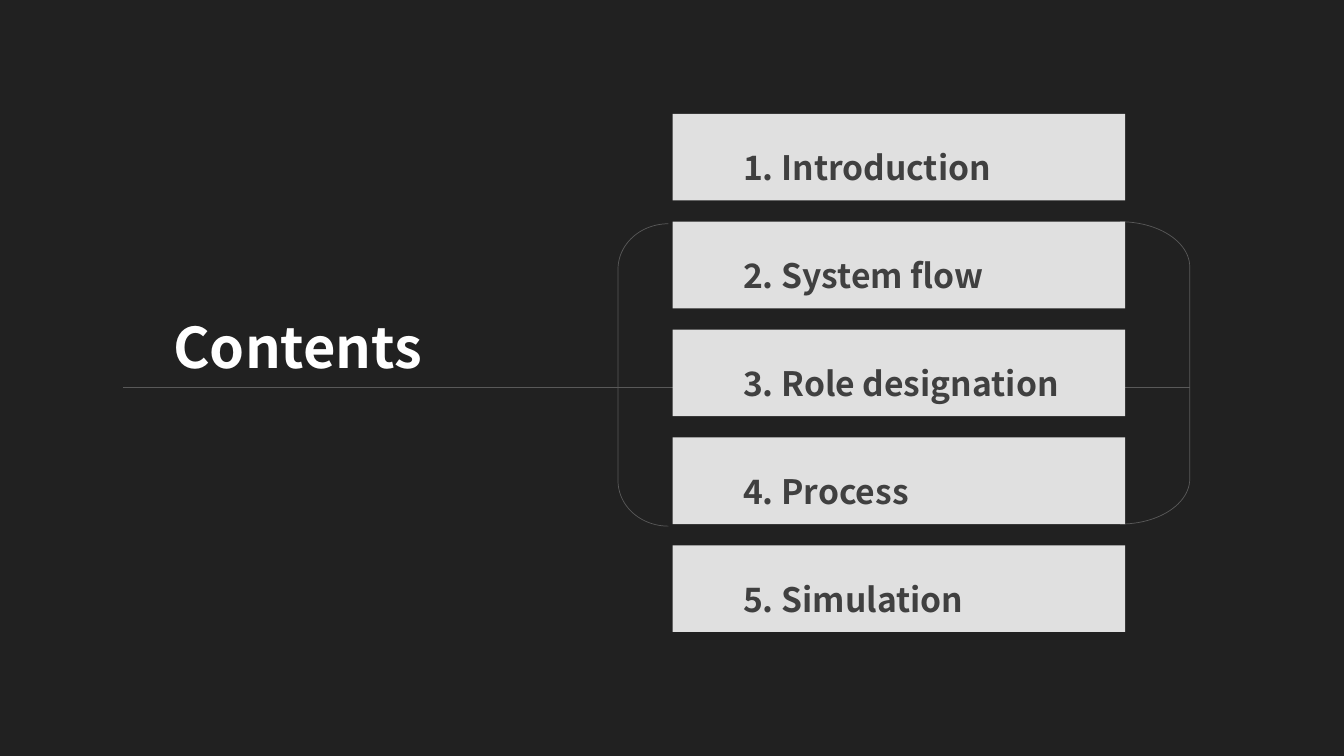
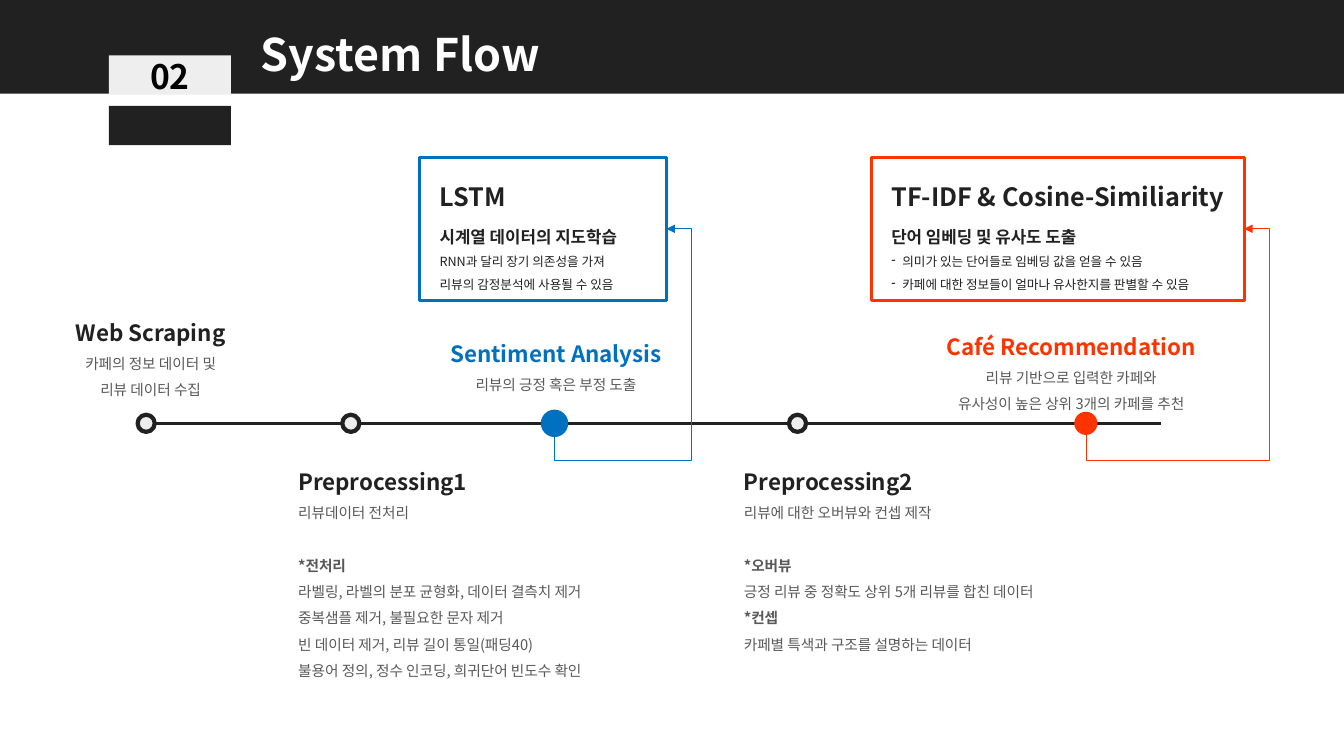
from dataclasses import dataclass, replace

from lxml.etree import SubElement
from pptx import Presentation
from pptx.dml.color import RGBColor
from pptx.enum.shapes import MSO_CONNECTOR as Link, MSO_SHAPE as Kind
from pptx.enum.text import MSO_ANCHOR as Anchor, PP_ALIGN as Align
from pptx.oxml.ns import qn
from pptx.util import Inches, Pt

FONT = "Noto Sans CJK KR"
DARK = RGBColor(0x21, 0x21, 0x21)
WHITE = RGBColor(0xFF, 0xFF, 0xFF)
BLACK = RGBColor(0x00, 0x00, 0x00)
PALE = RGBColor(0xEE, 0xEE, 0xEE)
PANEL = RGBColor(0xE0, 0xE0, 0xE0)
INK = RGBColor(0x40, 0x40, 0x40)
GRAY = RGBColor(0x59, 0x59, 0x59)
BLUE = RGBColor(0x00, 0x70, 0xC0)
RED = RGBColor(0xFF, 0x33, 0x00)

WIDTH, HEIGHT = 13.33, 7.5
AXIS = 4.2    # height of the timeline
BEND = 0.25   # how far an elbow arrow swings out


@dataclass(frozen=True)
class Style:
    size: float
    color: RGBColor
    bold: bool = False
    gap: float = 0       # points above the paragraph
    indent: float = 0    # inches
    bullet: str = ""
    pitch: float = 1.5   # line spacing


TITLE = Style(32, WHITE, True)
ITEM = Style(24, INK, True, indent=0.5)
TAG = Style(24, BLACK, True, pitch=1)
HEAD = Style(16, DARK, True)
BODY = Style(10.5, GRAY)
LABEL = replace(BODY, bold=True)
FIRST = replace(LABEL, gap=18.9)
NAME = Style(18, DARK, True)
LEAD = Style(12, DARK, True, gap=3.6)
NOTE = Style(9, DARK)
DASH = replace(NOTE, indent=0.11, bullet="-")


def write(frame, rows, align=Align.LEFT):
    """Fill a text frame with (text, style) rows."""
    frame.word_wrap = True
    for i, (text, style) in enumerate(rows):
        para = frame.paragraphs[0] if i == 0 else frame.add_paragraph()
        para.alignment = align
        para.line_spacing = style.pitch
        para.space_before = Pt(style.gap)
        props = para._p.get_or_add_pPr()
        if style.indent:
            props.set("marL", str(Inches(style.indent)))
        if style.bullet:
            props.set("indent", str(-Inches(style.indent)))
            SubElement(props, qn("a:buChar"), char=style.bullet)
        run = para.add_run()
        run.text = text
        font = run.font
        font.name, font.size, font.bold = FONT, Pt(style.size), style.bold
        font.color.rgb = style.color
        SubElement(font._element, qn("a:ea"), typeface=FONT)


def label(slide, box, rows, align=Align.LEFT):
    area = slide.shapes.add_textbox(*map(Inches, box))
    write(area.text_frame, rows, align)


def shape(slide, kind, box, fill=None, edge=None, weight=0.5):
    item = slide.shapes.add_shape(kind, *map(Inches, box))
    item.shadow.inherit = False
    if fill is None:
        item.fill.background()
    else:
        item.fill.solid()
        item.fill.fore_color.rgb = fill
    if edge is None:
        item.line.fill.background()
    else:
        item.line.color.rgb = edge
        item.line.width = Pt(weight)
    return item


def panel(slide, box, rows, fill, edge=None):
    """Draw a filled box with its text centred in height."""
    item = shape(slide, Kind.RECTANGLE, box, fill, edge, 2.25)
    frame = item.text_frame
    frame.vertical_anchor = Anchor.MIDDLE
    frame.margin_left, frame.margin_right = Inches(0.2), Inches(0.1)
    write(frame, rows)


def link(slide, kind, start, end, color, weight):
    line = slide.shapes.add_connector(kind, *map(Inches, start + end))
    line.line.color.rgb = color
    line.line.width = Pt(weight)
    SubElement(line.element.spPr, qn("a:effectLst"))
    return line


def elbow(slide, start, end, color):
    """Arrow that drops, swings out to the right and comes back to its end."""
    (x1, y1), (x2, y2) = start, end
    long, short = y1 - y2, x2 - x1
    mid_x, mid_y = (x1 + x2) / 2, (y1 + y2) / 2
    line = link(slide, Link.ELBOW,
                (mid_x + long / 2, mid_y + short / 2),
                (mid_x - long / 2, mid_y - short / 2), color, 0.5)
    props = line.element.spPr
    props.find(qn("a:xfrm")).set("rot", str(90 * 60000))
    geom = props.find(qn("a:prstGeom"))
    geom.set("prst", "bentConnector4")
    turns = geom.find(qn("a:avLst"))
    for name, part in (("adj1", -BEND / long), ("adj2", 1 + BEND / short)):
        SubElement(turns, qn("a:gd"), name=name, fmla=f"val {round(part * 100000)}")
    SubElement(props.find(qn("a:ln")), qn("a:tailEnd"), type="triangle")


def page(deck, color):
    slide = deck.slides.add_slide(deck.slide_layouts[6])
    slide.background.fill.solid()
    slide.background.fill.fore_color.rgb = color
    return slide


def header(slide, number, text):
    shape(slide, Kind.RECTANGLE, (0, 0, WIDTH, 0.93), DARK)
    label(slide, (2.49, -0.05, 5.28, 0.8), [(text, TITLE)])
    for top, fill in ((0.55, PALE), (1.05, DARK)):
        shape(slide, Kind.RECTANGLE, (1.08, top, 1.21, 0.39), fill)
    label(slide, (1.08, 0.51, 1.21, 0.5), [(number, TAG)], Align.CENTER)


def menu(slide, box, items):
    """Stack the items evenly from the top to the bottom of the box."""
    left, top, width, height = box
    tall = 0.86
    step = (height - tall) / (len(items) - 1)
    for i, text in enumerate(items):
        panel(slide, (left, top + i * step, width, tall),
              [(f"{i + 1}. {text}", ITEM)], PANEL)


def contents(deck):
    slide = page(deck, DARK)
    link(slide, Link.STRAIGHT, (1.22, 3.84), (11.8, 3.84), GRAY, 0.5)
    label(slide, (1.62, 2.72, 5.28, 0.98), [("Contents", replace(TITLE, size=40))])
    for box, curve, kind in (
        ((6.13, 2.22, 0.5, 3), 0.9, Kind.LEFT_BRACKET),
        ((11.11, 2.2, 0.69, 3), 0.65, Kind.RIGHT_BRACKET),
    ):
        shape(slide, kind, box, edge=GRAY).adjustments[0] = curve
    menu(slide, (6.67, 1.13, 4.49, 5.14),
         ["Introduction", "System flow", "Role designation", "Process", "Simulation"])


def node(slide, x, size, fill, edge=None):
    box = (x - size / 2, AXIS - size / 2, size, size)
    shape(slide, Kind.OVAL, box, fill, edge, 3)


def axis(slide):
    link(slide, Link.STRAIGHT, (1.53, AXIS), (11.52, AXIS), DARK, 2.25)
    for x in (1.45, 3.48, 7.91):
        node(slide, x, 0.17, PALE, DARK)
    node(slide, 5.5, 0.23, BLUE, BLUE)


def stages(slide):
    """Place the captions above and below the timeline."""
    label(slide, (0.61, 2.98, 1.77, 1), [
        ("Web Scraping", HEAD),
        ("카페의 정보 데이터 및 리뷰 데이터 수집", BODY),
    ], Align.CENTER)
    label(slide, (3.87, 3.19, 3.29, 0.74), [
        ("Sentiment Analysis", replace(HEAD, color=BLUE)),
        ("리뷰의 긍정 혹은 부정 도출", BODY),
    ], Align.CENTER)
    label(slide, (9.2, 3.12, 2.85, 1), [
        ("Café Recommendation", replace(HEAD, color=RED)),
        ("리뷰 기반으로 입력한 카페와", BODY),
        ("유사성이 높은 상위 3개의 카페를 추천", BODY),
    ], Align.CENTER)
    label(slide, (2.86, 4.46, 3.46, 2.33), [
        ("Preprocessing1", HEAD),
        ("리뷰데이터 전처리", BODY),
        ("*전처리", FIRST),
        ("라벨링, 라벨의 분포 균형화, 데이터 결측치 제거", BODY),
        ("중복샘플 제거, 불필요한 문자 제거", BODY),
        ("빈 데이터 제거, 리뷰 길이 통일(패딩40)", BODY),
        ("불용어 정의, 정수 인코딩, 희귀단어 빈도수 확인", BODY),
    ])
    label(slide, (7.28, 4.46, 3.84, 2.06), [
        ("Preprocessing2", HEAD),
        ("리뷰에 대한 오버뷰와 컨셉 제작", BODY),
        ("*오버뷰", FIRST),
        ("긍정 리뷰 중 정확도 상위 5개 리뷰를 합친 데이터", BODY),
        ("*컨셉", LABEL),
        ("카페별 특색과 구조를 설명하는 데이터", BODY),
    ])


def method(slide, box, x, color, rows):
    """Box on a method, with an arrow to it from the node at x."""
    left, top, width, height = box
    panel(slide, box, rows, WHITE, color)
    elbow(slide, (x, AXIS + 0.12), (left + width, top + height / 2), color)


def flow(deck):
    slide = page(deck, WHITE)
    header(slide, "02", "System Flow")
    axis(slide)
    stages(slide)
    node(slide, 10.77, 0.23, RED)
    method(slide, (4.16, 1.56, 2.45, 1.42), 5.5, BLUE, [
        ("LSTM", NAME),
        ("시계열 데이터의 지도학습", LEAD),
        ("RNN과 달리 장기 의존성을 가져", NOTE),
        ("리뷰의 감정분석에 사용될 수 있음", NOTE),
    ])
    method(slide, (8.64, 1.56, 3.7, 1.42), 10.77, RED, [
        ("TF-IDF & Cosine-Similiarity", NAME),
        ("단어 임베딩 및 유사도 도출", LEAD),
        ("의미가 있는 단어들로 임베딩 값을 얻을 수 있음", DASH),
        ("카페에 대한 정보들이 얼마나 유사한지를 판별할 수 있음", DASH),
    ])


def main():
    deck = Presentation()
    deck.slide_width, deck.slide_height = Inches(WIDTH), Inches(HEIGHT)
    contents(deck)
    flow(deck)
    deck.save("out.pptx")


if __name__ == "__main__":
    main()
